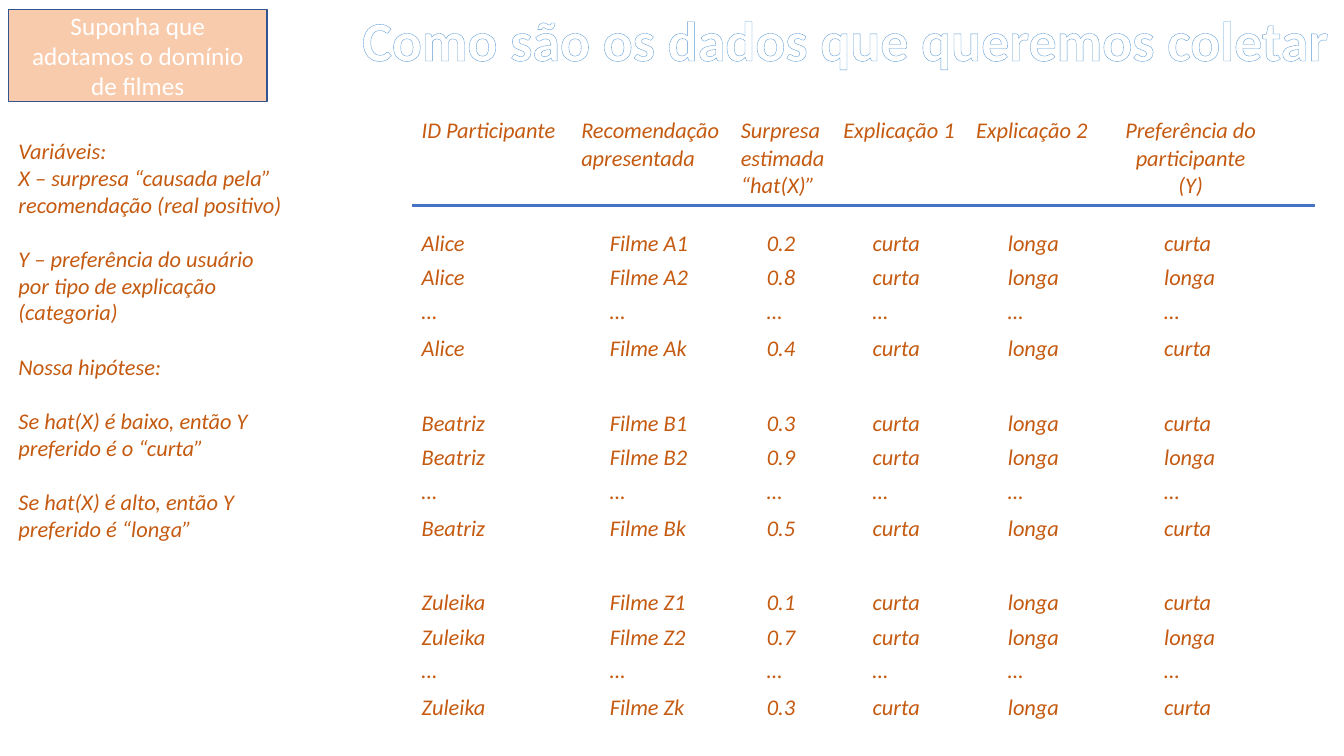
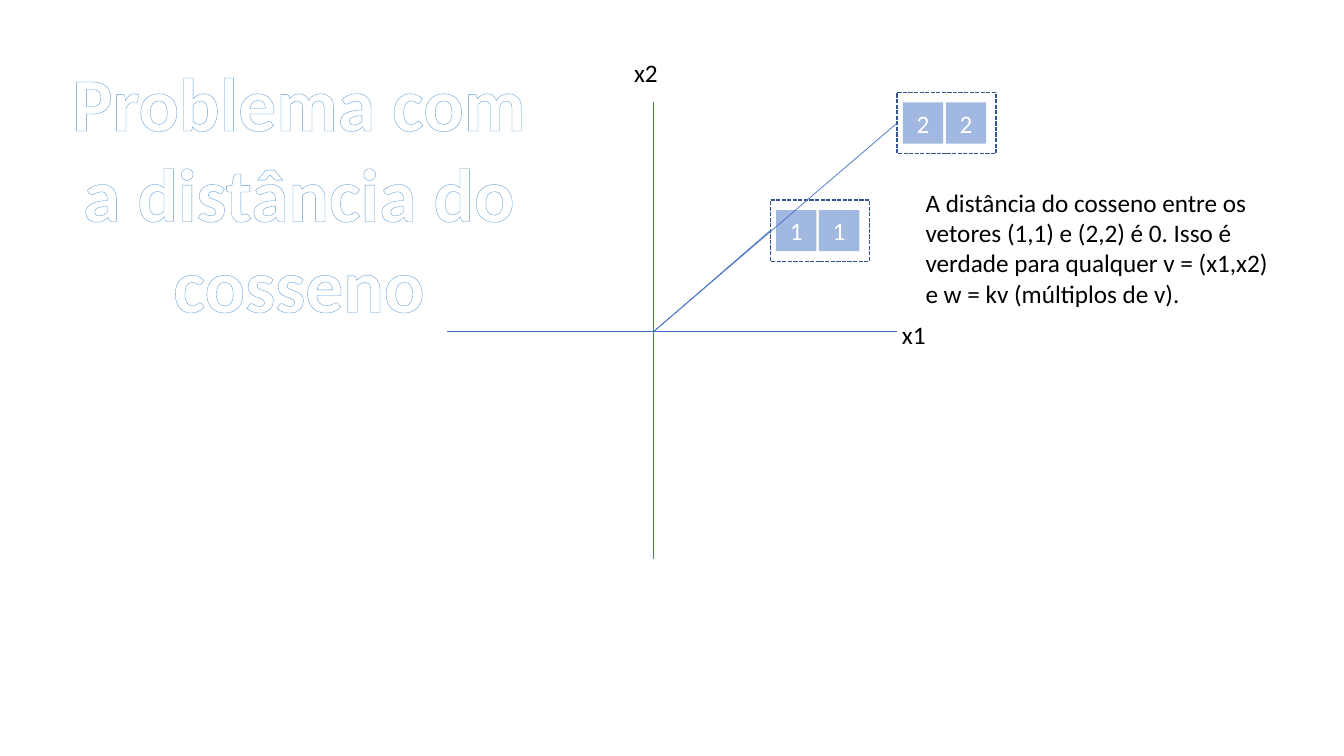
from lxml.etree import SubElement
from pptx import Presentation
from pptx.dml.color import RGBColor
from pptx.enum.dml import MSO_LINE_DASH_STYLE as Dash, MSO_PATTERN_TYPE as Pattern
from pptx.enum.shapes import MSO_CONNECTOR_TYPE as Conn, MSO_SHAPE as Shape
from pptx.enum.text import MSO_ANCHOR as Anchor, MSO_AUTO_SIZE as Fit, PP_ALIGN as Align
from pptx.oxml.ns import qn
from pptx.util import Inches, Pt

FONT = "Calibri"
COLORS = {
    "accent": "4472C4", "border": "325491", "brown": "C55A11", "peach": "F8CBAD",
    "hatch": "9DC3E6", "outline": "5B9BD5", "white": "FFFFFF", "black": "000000",
}


def rgb(name):
    return RGBColor.from_string(COLORS[name])


def grid(*cells):
    """Turn units of the 16 x 9 slide grid into lengths."""
    return [Inches(7.5 / 9 * n) for n in cells]


class Deck:
    def __init__(self):
        self.prs = Presentation()
        self.prs.slide_width, self.prs.slide_height = grid(16, 9)
        self.slide = None

    def new_slide(self, layout):
        self.slide = self.prs.slides.add_slide(self.prs.slide_layouts[layout])

    def fill_text(self, tf, paragraphs, size=18, color="black", italic=False,
                  align=Align.LEFT, anchor=Anchor.TOP, gaps=()):
        """Fill a text frame; gaps lists the paragraphs with a line's space after."""
        tf.word_wrap = True
        tf.vertical_anchor = anchor
        for i, text in enumerate(paragraphs):
            p = tf.add_paragraph() if i else tf.paragraphs[0]
            p.alignment, p.line_spacing = align, 1.0
            p.space_before = Pt(0)
            p.space_after = Pt(size * 1.22 if i in gaps else 0)
            r = p.add_run()
            r.text = text
            r.font.name, r.font.size, r.font.italic = FONT, Pt(size), italic
            r.font.color.rgb = rgb(color)

    def place(self, sp, box):
        sp.left, sp.top, sp.width, sp.height = grid(*box)
        sp.text_frame.auto_size = Fit.NONE

    def title(self, text, box, size, wrap=True):
        """Bold, hatched and outlined title."""
        sp = self.slide.shapes.title
        self.place(sp, box)
        tf = sp.text_frame
        self.fill_text(tf, [text], size, align=Align.CENTER)
        tf.word_wrap = wrap
        r = tf.paragraphs[0].runs[0]
        r.font.bold = True
        fill = r.font.fill
        fill.patterned()
        fill.pattern = Pattern.LIGHT_DOWNWARD_DIAGONAL
        fill.fore_color.rgb, fill.back_color.rgb = rgb("hatch"), rgb("white")
        rPr = r._r.get_or_add_rPr()
        ln = SubElement(rPr, qn("a:ln"), w="12700")
        SubElement(SubElement(ln, qn("a:solidFill")), qn("a:srgbClr"), val=COLORS["outline"])
        rPr.insert(0, ln)

    def body(self, paragraphs, box, **style):
        """Body placeholder without bullets."""
        sp = self.slide.placeholders[1]
        self.place(sp, box)
        self.fill_text(sp.text_frame, paragraphs, **style)
        for p in sp.text_frame.paragraphs:
            pPr = p._p.get_or_add_pPr()
            pPr.set("marL", "0")
            pPr.set("indent", "0")
            SubElement(pPr, qn("a:buNone"))

    def text(self, text, box):
        self.fill_text(self.slide.shapes.add_textbox(*grid(*box)).text_frame, [text])

    def rect(self, box, text=None, fill=None, alpha=None, line=None, dash=None):
        sp = self.slide.shapes.add_shape(Shape.RECTANGLE, *grid(*box))
        sp.shadow.inherit = False
        if fill:
            sp.fill.solid()
            sp.fill.fore_color.rgb = rgb(fill)
        else:
            sp.fill.background()
        if alpha:
            color = sp.element.spPr.find(qn("a:solidFill"))[0]
            SubElement(color, qn("a:alpha"), val=str(alpha * 1000))
        if line:
            sp.line.color.rgb, sp.line.width = rgb(line), Pt(1)
            sp.line.dash_style = dash
        else:
            sp.line.fill.background()
        if text:
            self.fill_text(sp.text_frame, [text], color="white",
                           align=Align.CENTER, anchor=Anchor.MIDDLE)

    def line(self, start, end, width=0.5):
        c = self.slide.shapes.add_connector(Conn.STRAIGHT, *grid(*start, *end))
        c.line.color.rgb, c.line.width = rgb("accent"), Pt(width)
        SubElement(c.element.spPr, qn("a:effectLst"))

    def table(self, origin, widths, heights, rows, indents, **style):
        """Plain table; the first row is the header, with its last cell centred."""
        box = (*origin, sum(widths), sum(heights))
        t = self.slide.shapes.add_table(len(rows), len(widths), *grid(*box)).table
        t.first_row = t.horz_banding = False
        for column, width in zip(t.columns, grid(*widths)):
            column.width = width
        for row, height in zip(t.rows, grid(*heights)):
            row.height = height
        last = len(widths) - 1
        for i, row in enumerate(rows):
            for j, text in enumerate(row):
                cell = t.cell(i, j)
                cell.fill.background()
                centred = i == 0 and j == last
                cell.margin_left, cell.margin_right, cell.margin_top, cell.margin_bottom = grid(
                    indents[j] if i else 0.12, 0.12 if centred else 0.05, 0.06, 0)
                self.fill_text(cell.text_frame, text.split("\n"),
                               align=Align.CENTER if centred else Align.LEFT, **style)


def data_slide(d):
    d.new_slide(1)
    d.title("Como são os dados que queremos coletar", (4.13, 0, 11.87, 0.92), 40, wrap=False)
    notes = {"size": 16, "color": "brown", "italic": True}

    # Table: four rows for each participant
    rows = [["ID Participante", "Recomendação apresentada", "Surpresa estimada\n“hat(X)”",
             "Explicação 1", "Explicação 2", "Preferência do participante\n(Y)"]]
    surprises = {"Alice": ("0.2", "0.8", "0.4"), "Beatriz": ("0.3", "0.9", "0.5"),
                 "Zuleika": ("0.1", "0.7", "0.3")}
    for name, values in surprises.items():
        group = [[name, f"Filme {name[0]}{n}", value, "curta", "longa", choice]
                 for n, value, choice in zip("12k", values, ("curta", "longa", "curta"))]
        group.insert(2, ["…"] * 6)
        rows += group
    heights = [1.34] + [0.41, 0.4, 0.44, 0.89] * 3
    heights[-1] = 0.44
    d.table((4.9, 1.34), (1.9, 1.9, 1.22, 1.58, 1.75, 1.85), heights, rows,
            (0.12, 0.46, 0.43, 0.47, 0.5, 0.61), **notes)
    d.line((4.9, 2.45), (15.65, 2.45), width=2)

    # Left column: domain and hypothesis
    d.rect((0.1, 0.11, 3.08, 1.1), "Suponha que adotamos o domínio de filmes",
           fill="peach", line="border")
    d.body(["Variáveis:",
            "X – surpresa “causada pela” recomendação (real positivo)",
            "Y – preferência do usuário por tipo de explicação (categoria)",
            "Nossa hipótese:",
            "Se hat(X) é baixo, então Y preferido é o “curta”",
            "Se hat(X) é alto, então Y preferido é “longa”"],
           (0.1, 1.57, 3.4, 4.97), gaps=(1, 2, 3, 4), **notes)


def cosine_slide(d):
    d.new_slide(5)

    # Axes
    ox, oy = origin = (7.78, 3.95)
    d.line((ox, 1.21), (ox, 6.65))
    d.line((5.32, oy), (10.68, oy))
    d.text("x1", (10.62, 3.74, 0.56, 0.48))
    d.text("x2", (7.43, 0.62, 0.56, 0.48))

    # Vectors: two cells in a dashed frame, joined to the origin
    width, height = 1.18, 0.73
    for value, x, y in (("1", 9.17, 2.38), ("2", 10.68, 1.1)):
        for k in range(2):
            d.rect((x + 0.07 + 0.51 * k, y + 0.12, 0.48, 0.49), value, fill="accent", alpha=50)
        d.rect((x, y, width, height), line="border", dash=Dash.SQUARE_DOT)
        d.line(origin, (x, y + height / 2))

    # Title and explanation
    d.title("Problema com a distância do cosseno", (0.72, 0.6, 5.68, 3.4), 54)
    d.text("A distância do cosseno entre os vetores (1,1) e (2,2) é 0. Isso é verdade para "
           "qualquer v = (x1,x2) e w = kv (múltiplos de v).", (10.9, 2.17, 4.5, 1.57))


def main():
    d = Deck()
    data_slide(d)
    cosine_slide(d)
    d.prs.save("out.pptx")


if __name__ == "__main__":
    main()
